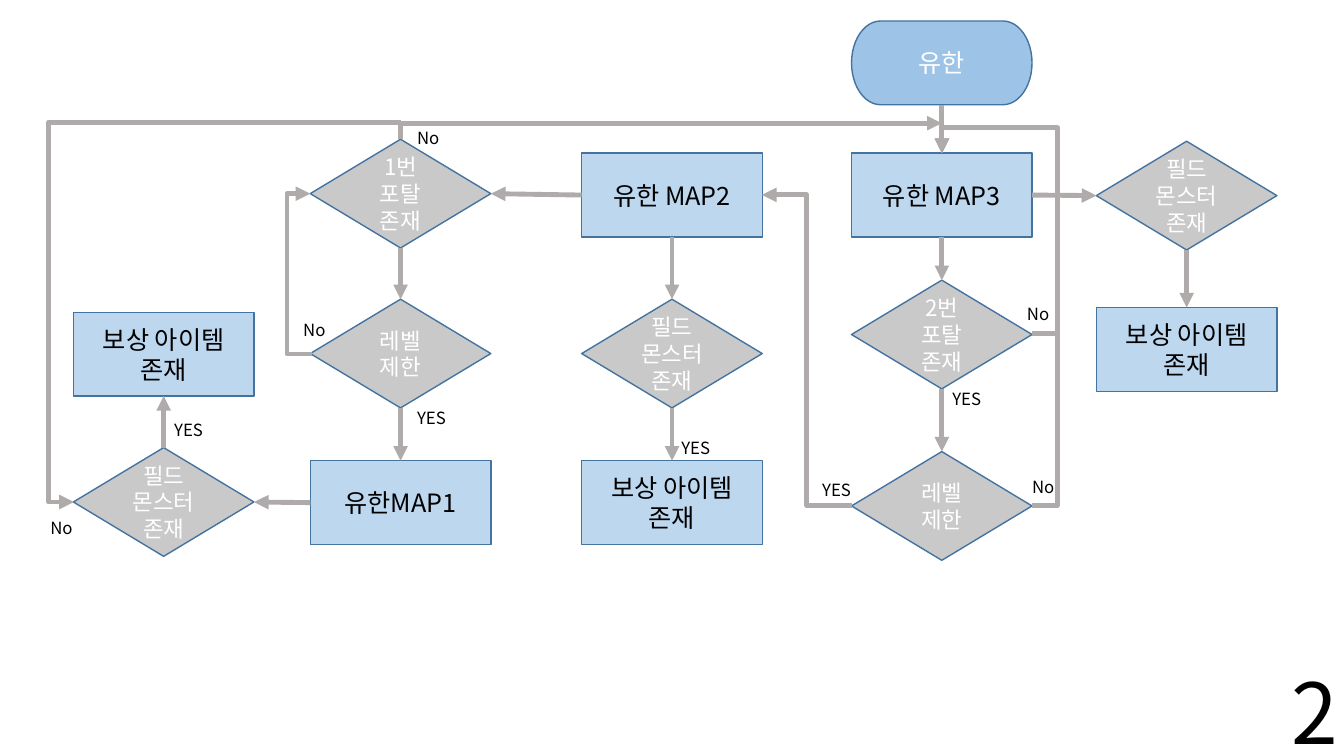
from lxml.etree import SubElement
from pptx import Presentation
from pptx.dml.color import RGBColor
from pptx.enum.shapes import MSO_CONNECTOR, MSO_SHAPE
from pptx.enum.text import MSO_ANCHOR, PP_ALIGN
from pptx.oxml.ns import qn
from pptx.util import Cm, Pt

HUES = {"start": "9DC3E6", "map": "BDD7EE", "test": "C9C9C9",
        "edge": "43739E", "arrow": "AFABAB", "white": "FFFFFF", "black": "000000"}
FACE = "Noto Sans CJK KR"
WIDE = 4.55
KINDS = {
    "start": (MSO_SHAPE.FLOWCHART_TERMINATOR, 2.11, 18, "white"),
    "map": (MSO_SHAPE.FLOWCHART_PROCESS, 2.11, 18, "black"),
    "test": (MSO_SHAPE.FLOWCHART_DECISION, 2.74, 16, "white"),
}
TOP, LEFT, BOTTOM, RIGHT = range(4)
PRIZE = "보상 아이템 존재"
BEAST = "필드\n몬스터존재"


def hue(name):
    return RGBColor.from_string(HUES[name])


def style(item, values):
    for key, value in values.items():
        setattr(item, key, value)


def write(shape, text, size, color, align, anchor, **frame):
    body = shape.text_frame
    style(body, {"text": text, "word_wrap": True, "vertical_anchor": anchor, **frame})
    for para in body.paragraphs:
        para.alignment = align
        for run in para.runs:
            style(run.font, {"size": Pt(size), "name": FACE})
            run.font.color.rgb = hue(color)
            SubElement(run._r.get_or_add_rPr(), qn("a:ea"), typeface=FACE)


def node(slide, box, x, y, kind, text):
    form, high, size, color = KINDS[kind]
    shape = slide.shapes.add_shape(form, Cm(box[0] + x), Cm(box[1] + y), Cm(WIDE), Cm(high))
    shape.shadow.inherit = False
    shape.fill.solid()
    shape.fill.fore_color.rgb = hue(kind)
    shape.line.color.rgb = hue("edge")
    shape.line.width = Pt(1)
    write(shape, text, size, color, PP_ALIGN.CENTER, MSO_ANCHOR.MIDDLE)
    return shape


def label(slide, box, x, y, text):
    shape = slide.shapes.add_textbox(Cm(box[0] + x), Cm(box[1] + y), Cm(1.7), Cm(0.77))
    write(shape, text, 12, "black", PP_ALIGN.LEFT, MSO_ANCHOR.TOP)


def arrow(slide, kind, ends):
    line = slide.shapes.add_connector(kind, *map(Cm, ends))
    line.line.color.rgb = hue("arrow")
    line.line.width = Pt(3.5)
    SubElement(line.line._get_or_add_ln(), qn("a:tailEnd"), type="triangle")
    SubElement(line._element.spPr, qn("a:effectLst"))
    return line


def join(slide, first, side, last, goal):
    line = arrow(slide, MSO_CONNECTOR.STRAIGHT, (0, 0, 0, 0))
    line.begin_connect(first, side)
    line.end_connect(last, goal)


def bend(slide, box, area, turn, flip, form, *shifts):
    x, y, wide, high = area
    x, y = box[0] + x, box[1] + y
    ends = (x + wide, y + high, x, y) if flip else (x, y, x + wide, y + high)
    line = arrow(slide, MSO_CONNECTOR.ELBOW, ends)
    part = line._element.spPr
    part.find(qn("a:xfrm")).set("rot", str(turn * 60000))
    geom = part.find(qn("a:prstGeom"))
    geom.set("prst", f"bentConnector{form}")
    guides = geom.find(qn("a:avLst"))
    if guides is None:
        guides = SubElement(geom, qn("a:avLst"))
    for index, shift in enumerate(shifts, 1):
        SubElement(guides, qn("a:gd"), name=f"adj{index}", fmla=f"val {round(shift * 100000)}")


def west(slide, box):
    step = 5.97
    gate = node(slide, box, step, 0, "test", "1번 포탈 존재")
    level = node(slide, box, step, 4.03, "test", "레벨 제한")
    field = node(slide, box, step, 8.1, "map", "유한MAP1")
    beast = node(slide, box, 0, 7.77, "test", "필드 몬스터 존재")
    prize = node(slide, box, 0, 4.36, "map", PRIZE)
    join(slide, gate, BOTTOM, level, TOP)
    join(slide, level, BOTTOM, field, TOP)
    join(slide, field, LEFT, beast, RIGHT)
    join(slide, beast, TOP, prize, BOTTOM)
    bend(slide, box, (step, 1.37, 0.04, 4.04), 180, False, 3, 15.7)
    bend(slide, box, (-0.65, 0.23, 9.57, 8.25), 90, False, 4, 0, 1.077)
    for x, y, text in ((8.41, -0.41, "No"), (5.54, 4.41, "No"), (8.41, 6.65, "YES"),
                       (2.29, 6.95, "YES"), (-0.83, 9.42, "No")):
        label(slide, box, x, y, text)
    return gate


def middle(slide, box):
    field = node(slide, box, 0, 0, "map", "유한 MAP2")
    beast = node(slide, box, 0, 3.68, "test", BEAST)
    prize = node(slide, box, 0, 7.75, "map", PRIZE)
    join(slide, field, BOTTOM, beast, TOP)
    join(slide, beast, BOTTOM, prize, TOP)
    label(slide, box, 2.26, 7.04, "YES")
    return field


def east(slide, box):
    step = 6.17
    start = node(slide, box, 0, 0, "start", "유한")
    field = node(slide, box, 0, 3.33, "map", "유한 MAP3")
    gate = node(slide, box, 0, 6.53, "test", "2번 포탈 존재")
    level = node(slide, box, 0, 10.85, "test", "레벨 제한")
    beast = node(slide, box, step, 3.03, "test", BEAST)
    prize = node(slide, box, step, 7.22, "map", PRIZE)
    for first, last in ((start, field), (field, gate), (gate, level), (beast, prize)):
        join(slide, first, BOTTOM, last, TOP)
    join(slide, field, RIGHT, beast, LEFT)
    for high, shift in ((4.55, 1.139), (8.87, 1.072)):
        bend(slide, box, (2.28, 3.33, 2.27, high), 0, True, 4, -0.279, shift)
    for x, y, text in ((2.29, 9.15, "YES"), (4.17, 6.99, "No"),
                       (4.3, 11.36, "No"), (-0.99, 11.43, "YES")):
        label(slide, box, x, y, text)


def links(slide, box, field, gate):
    join(slide, field, LEFT, gate, RIGHT)
    bend(slide, box, (16.71, -3.51, 0.41, 13.64), 90, True, 2)
    bend(slide, box, (19.2, 4.91, 2.26, 7.82), 180, False, 3, 0.5)


def number(slide, box):
    shape = slide.shapes.add_textbox(*map(Cm, box))
    write(shape, "2", 60, "black", PP_ALIGN.CENTER, MSO_ANCHOR.MIDDLE,
          margin_left=0, margin_right=0, margin_top=0, margin_bottom=0)
    shape.text_frame.paragraphs[0].line_spacing = 0.9


def main():
    deck = Presentation()
    style(deck, {"slide_width": Cm(33.87), "slide_height": Cm(19.05)})
    slide = deck.slides.add_slide(deck.slide_layouts[6])
    number(slide, (32.39, 16.84, 1.47, 2.46))
    gate = west(slide, (1.85, 3.51))
    field = middle(slide, (14.66, 3.86))
    east(slide, (21.46, 0.53))
    links(slide, (0, 0), field, gate)
    deck.save("out.pptx")


if __name__ == "__main__":
    main()
